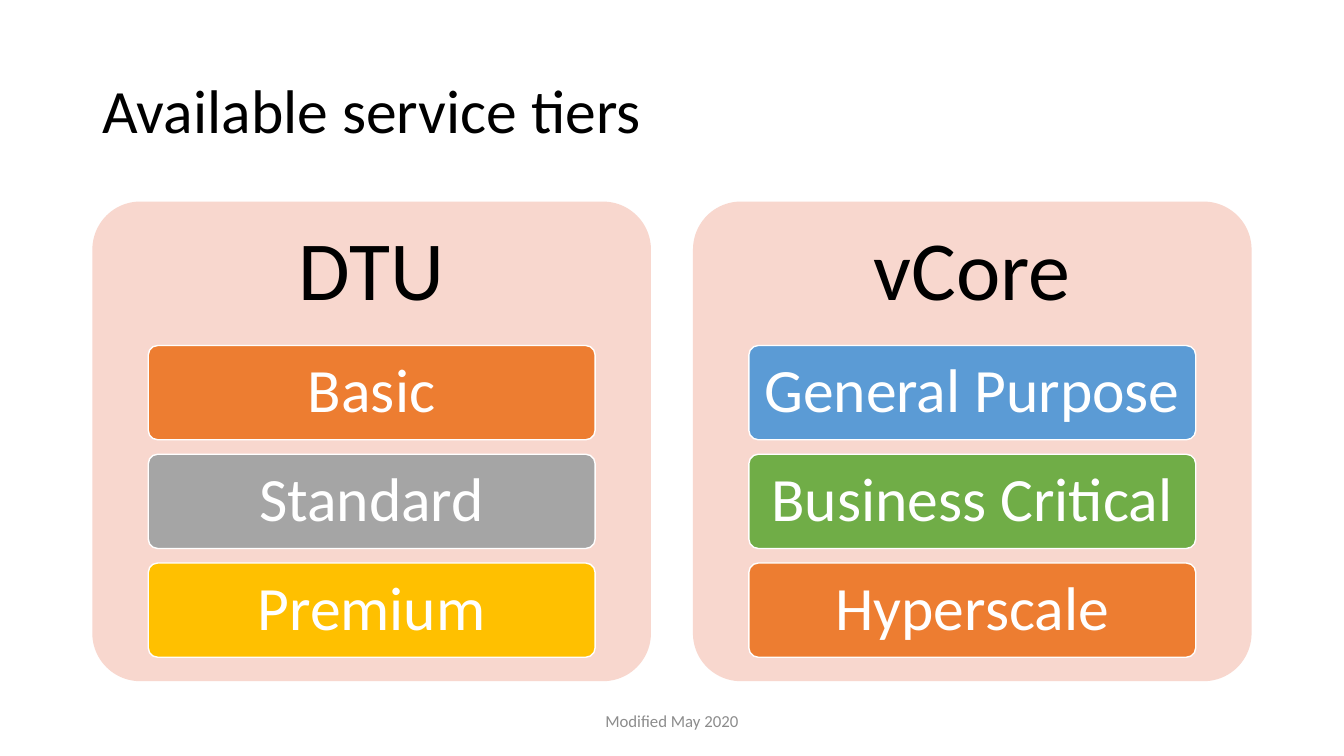
from pptx import Presentation
from pptx.dml.color import RGBColor
from pptx.enum.shapes import MSO_SHAPE
from pptx.enum.text import MSO_ANCHOR, MSO_AUTO_SIZE, PP_ALIGN
from pptx.util import Pt

COLORS = {
    "black": "000000", "white": "FFFFFF", "footer": "8C8C8C", "panel": "F8D7CE",
    "orange": "ED7D31", "gray": "A5A5A5", "gold": "FFC000",
    "blue": "5B9BD5", "green": "70AD47",
}
FONT = "Calibri"
MODELS = [
    ("DTU", [("Basic", "orange"), ("Standard", "gray"), ("Premium", "gold")]),
    ("vCore", [("General Purpose", "blue"), ("Business Critical", "green"),
               ("Hyperscale", "orange")]),
]
TITLE_BOX = (66, 28.8, 828, 104.4)
PANELS_BOX = (66, 144, 828, 342.6)
FOOTER_BOX = (318, 500.5, 324, 28.8)
PANEL_GAP = 30


def color(name):
    return RGBColor.from_string(COLORS[name])


def place(shape, box):
    shape.left, shape.top, shape.width, shape.height = map(Pt, box)


def write(shape, text, size, color_name, align=PP_ALIGN.CENTER, margin=7.2, spacing=0.9):
    frame = shape.text_frame
    frame.text = text
    frame.word_wrap = True
    frame.auto_size = MSO_AUTO_SIZE.NONE
    frame.vertical_anchor = MSO_ANCHOR.MIDDLE
    frame.margin_left = frame.margin_right = Pt(margin)
    paragraph = frame.paragraphs[0]
    paragraph.alignment = align
    paragraph.line_spacing = spacing
    paragraph.font.name = FONT
    paragraph.font.size = Pt(size)
    paragraph.font.color.rgb = color(color_name)


def add_rounded(slide, box, fill):
    shape = slide.shapes.add_shape(MSO_SHAPE.ROUNDED_RECTANGLE, *map(Pt, box))
    shape.adjustments[0] = 0.1
    shape.shadow.inherit = False
    shape.fill.solid()
    shape.fill.fore_color.rgb = color(fill)
    shape.line.fill.background()
    return shape


def add_title(slide, box):
    place(slide.shapes.title, box)
    write(slide.shapes.title, "Available service tiers", 44, "black", PP_ALIGN.LEFT)


def add_model_panel(slide, box, heading, tiers):
    left, top, width, height = box
    add_rounded(slide, box, "panel")

    # Heading fills the top 30% of the panel
    heading_height = 0.3 * height
    heading_box = slide.shapes.add_textbox(*map(Pt, (left, top, width, heading_height)))
    write(heading_box, heading, 60, "black", margin=18)

    # Tiers share the next 65%, with gaps of 2/13 of a tile
    gap_ratio = 2 / 13
    count = len(tiers)
    tile_height = 0.65 * height / (count + (count - 1) * gap_ratio)
    pitch = tile_height * (1 + gap_ratio)
    for index, (tier, fill) in enumerate(tiers):
        tile_top = top + heading_height + index * pitch
        tile = add_rounded(slide, (left + 0.1 * width, tile_top, 0.8 * width, tile_height), fill)
        tile.line.color.rgb = color("white")
        tile.line.width = Pt(1)
        write(tile, tier, 44, "white")


def add_model_panels(slide, box):
    left, top, width, height = box
    panel_width = (width - PANEL_GAP * (len(MODELS) - 1)) / len(MODELS)
    for index, (heading, tiers) in enumerate(MODELS):
        panel_left = left + index * (panel_width + PANEL_GAP)
        add_model_panel(slide, (panel_left, top, panel_width, height), heading, tiers)


def add_footer(slide, box):
    footer = slide.shapes.add_textbox(*map(Pt, box))
    write(footer, "Modified May 2020", 12, "footer", spacing=1.0)


def main():
    presentation = Presentation()
    presentation.slide_width, presentation.slide_height = Pt(960), Pt(540)
    title_only = presentation.slide_layouts[5]
    slide = presentation.slides.add_slide(title_only)
    add_title(slide, TITLE_BOX)
    add_model_panels(slide, PANELS_BOX)
    add_footer(slide, FOOTER_BOX)
    presentation.save("out.pptx")


if __name__ == "__main__":
    main()
